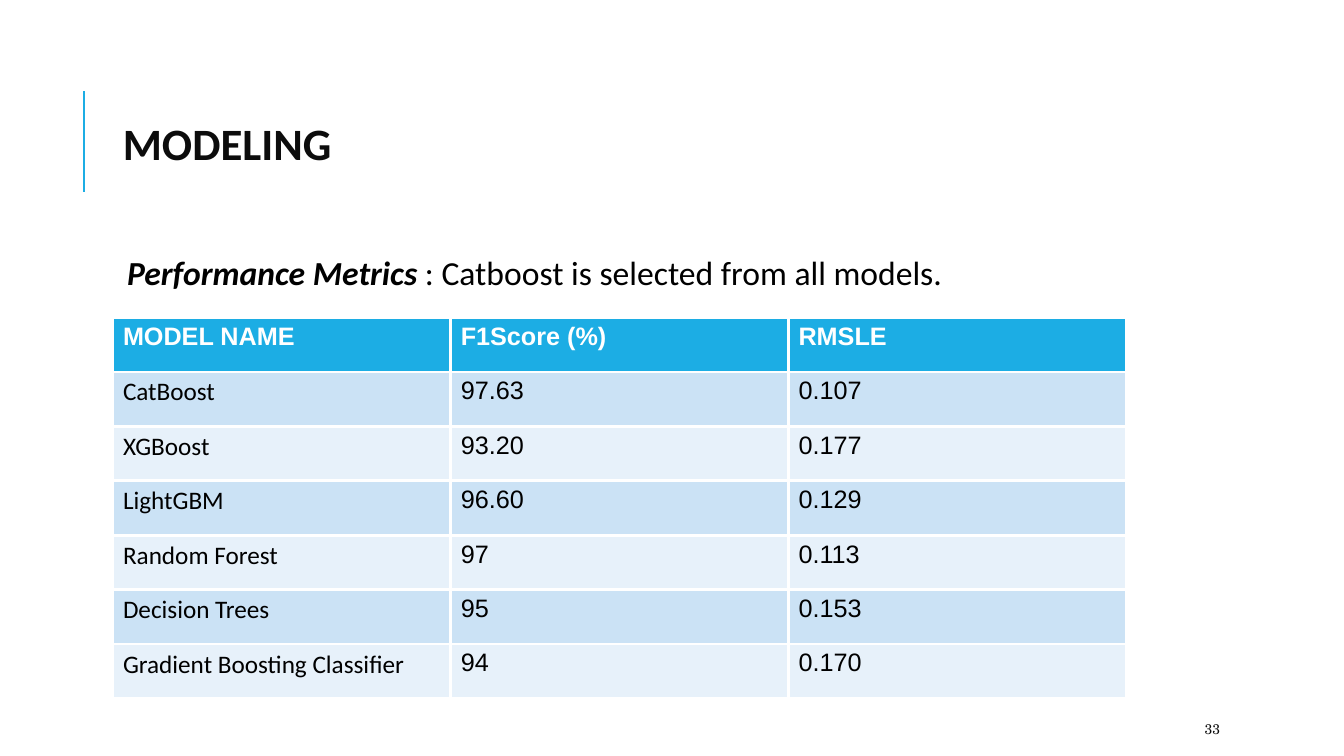
from lxml.etree import SubElement
from pptx import Presentation
from pptx.dml.color import RGBColor
from pptx.enum.shapes import MSO_CONNECTOR
from pptx.enum.text import MSO_ANCHOR
from pptx.oxml import parse_xml
from pptx.oxml.ns import nsdecls, qn
from pptx.util import Inches, Pt

# Content
TITLE = "MODELING"
LEAD, REMARK = "Performance Metrics ", ": Catboost is selected from all models."
PAGE = "33"
METRICS = [
    ("MODEL NAME", "F1Score (%)", "RMSLE"),
    ("CatBoost", "97.63", "0.107"),
    ("XGBoost", "93.20", "0.177"),
    ("LightGBM", "96.60", "0.129"),
    ("Random Forest", "97", "0.113"),
    ("Decision Trees", "95", "0.153"),
    ("Gradient Boosting Classifier", "94", "0.170"),
]

ACCENT = RGBColor(0x1C, 0xAD, 0xE4)
BAND_DARK = RGBColor(0xCB, 0xE2, 0xF5)
BAND_LIGHT = RGBColor(0xE7, 0xF1, 0xFA)
INK = RGBColor(0x0C, 0x0C, 0x0C)
BLACK = RGBColor(0, 0, 0)
WHITE = RGBColor(0xFF, 0xFF, 0xFF)

# Layout in inches
LEFT, WIDTH = 1.12, 10.63
COL_W, ROW_H = 3.35, 0.54
TABLE_TOP = 3.15


def add_run(paragraph, text, font, size, color, bold=False, italic=False):
    run = paragraph.add_run()
    run.text = text
    run.font.name, run.font.size = font, Pt(size)
    run.font.bold, run.font.italic = bold, italic
    run.font.color.rgb = color


def add_textbox(slide, box, anchor, spacing=1.0, inset=0.1):
    frame = slide.shapes.add_textbox(*map(Inches, box)).text_frame
    frame.word_wrap = True
    frame.vertical_anchor = anchor
    frame.margin_left = Inches(inset)
    paragraph = frame.paragraphs[0]
    paragraph.line_spacing = spacing
    return paragraph


def add_borders(cell, color, width):
    props = cell._tc.get_or_add_tcPr()
    for place, side in enumerate(("lnL", "lnR", "lnT", "lnB")):
        props.insert(place, parse_xml(
            f'<a:{side} {nsdecls("a")} w="{Pt(width)}"><a:solidFill>'
            f'<a:srgbClr val="{color}"/></a:solidFill></a:{side}>'))


def add_metrics(slide):
    rows, cols = len(METRICS), len(METRICS[0])
    table = slide.shapes.add_table(
        rows, cols, Inches(LEFT), Inches(TABLE_TOP),
        Inches(cols * COL_W), Inches(rows * ROW_H)).table
    for r, values in enumerate(METRICS):
        header = r == 0
        band = BAND_DARK if r % 2 else BAND_LIGHT
        for c, value in enumerate(values):
            cell = table.cell(r, c)
            cell.fill.solid()
            cell.fill.fore_color.rgb = ACCENT if header else band
            add_borders(cell, WHITE, 2.25)
            font = "Calibri" if c == 0 and not header else "Arial"
            add_run(cell.text_frame.paragraphs[0], value, font, 18,
                    WHITE if header else BLACK, bold=header)


def main():
    prs = Presentation()
    prs.slide_width, prs.slide_height = Inches(13.33), Inches(7.5)
    slide = prs.slides.add_slide(prs.slide_layouts[6])

    # Accent rule beside the title
    rule = slide.shapes.add_connector(
        MSO_CONNECTOR.STRAIGHT, *map(Inches, (0.83, 1.9, 0.83, 0.9)))
    rule.line.color.rgb = ACCENT
    rule.line.width = Pt(1.5)
    SubElement(rule._element.spPr, qn("a:effectLst"))

    # Title
    title = add_textbox(slide, (LEFT, 0.64, WIDTH, 1.64), MSO_ANCHOR.MIDDLE, 0.8)
    add_run(title, TITLE, "Calibri", 32, INK, bold=True)

    # Statement above the table
    statement = add_textbox(slide, (LEFT, 2.5, WIDTH, 0.6), MSO_ANCHOR.TOP, 0.9, 0.14)
    add_run(statement, LEAD, "Calibri", 24, BLACK, bold=True, italic=True)
    add_run(statement, REMARK, "Calibri", 24, BLACK)

    # Metrics table
    add_metrics(slide)

    # Page number
    page = add_textbox(slide, (11.85, 7.08, 1.06, 0.3), MSO_ANCHOR.MIDDLE)
    add_run(page, PAGE, "TeX Gyre Schola", 10, INK)

    prs.save("out.pptx")


if __name__ == "__main__":
    main()
